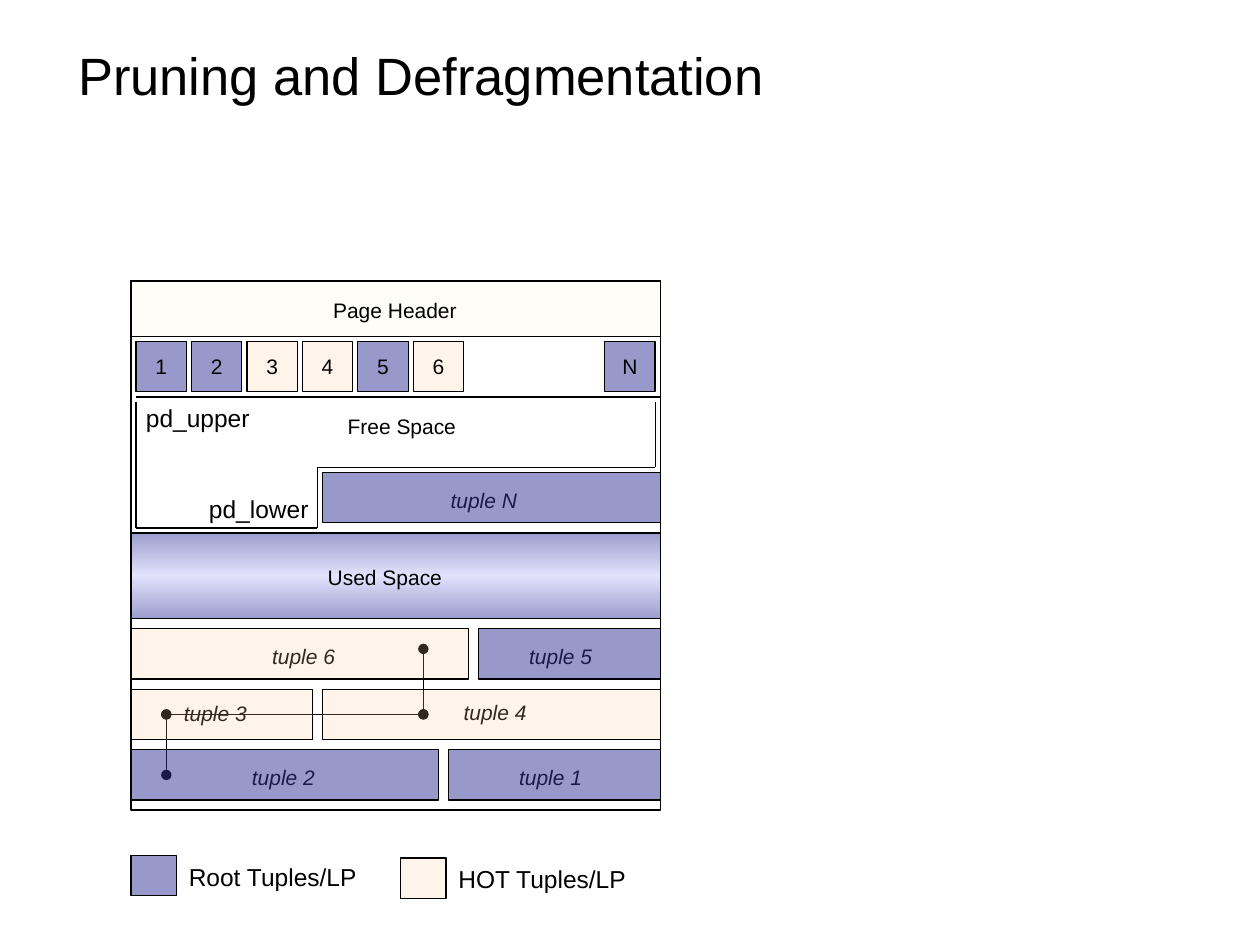
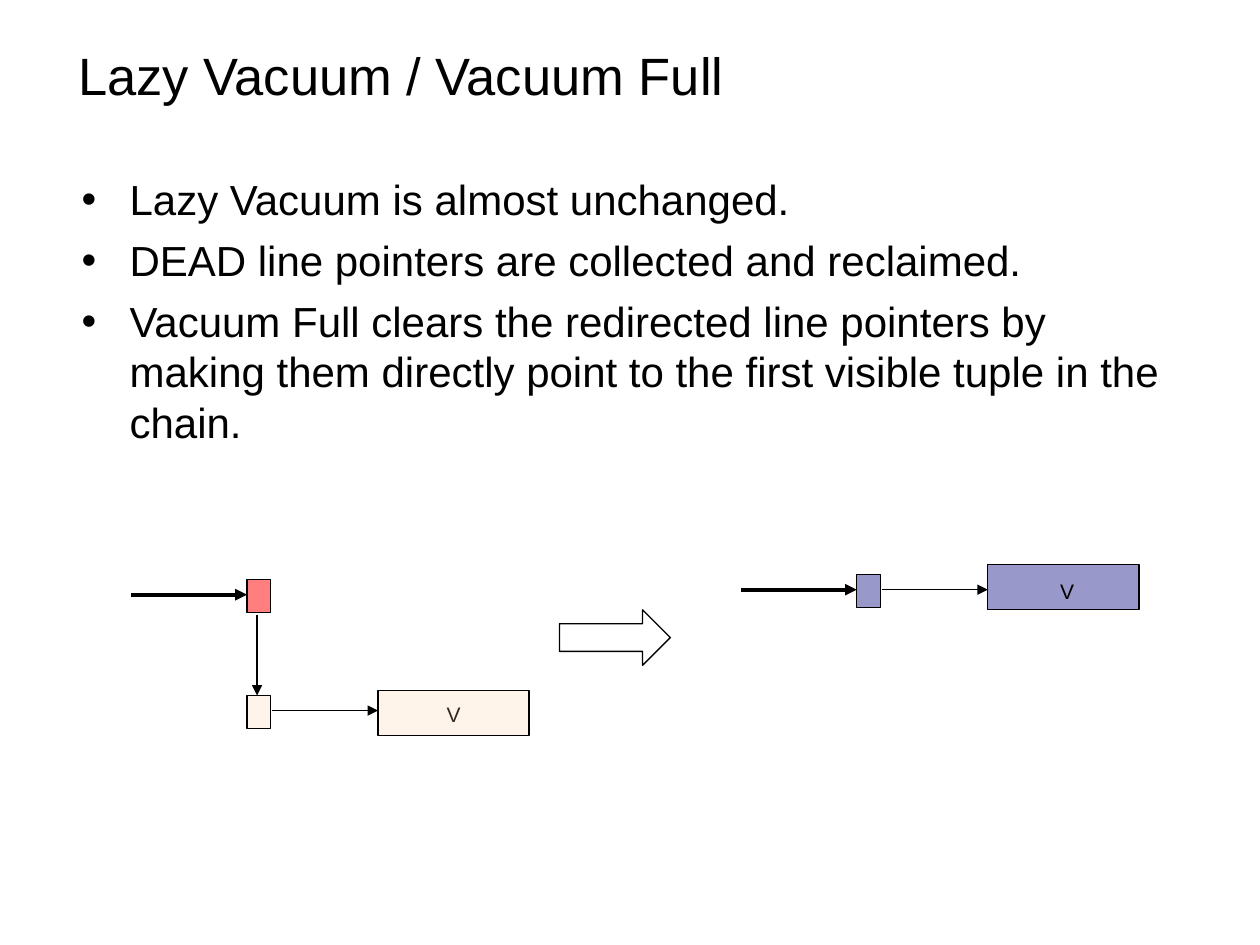
from dataclasses import dataclass
from itertools import pairwise
from typing import NamedTuple

from lxml import etree
from pptx import Presentation
from pptx.dml.color import RGBColor
from pptx.enum import shapes, text
from pptx.oxml import ns
from pptx.util import Inches, Pt


@dataclass(frozen=True)
class Theme:
    font: str = "Arial"
    ink: str = "000000"
    root: tuple = ("333399", 50)
    hot: tuple = ("FFCC99", 20)
    redirected: tuple = ("FF0000", 50)
    header: tuple = ("FFCC00", 3)
    used_stops: tuple = ((0, "333399", 48), (50, "CCCCFF", 51), (100, "333399", 48))
    title_size: float = 30
    body_size: float = 24
    name_size: float = 14
    label_size: float = 12
    thin: float = 0.75
    thick: float = 2.25


THEME = Theme()


class Box(NamedTuple):
    left: float
    top: float
    width: float
    height: float

    def inside(self, left, top, width, height):
        return Box(self.left + left, self.top + top, width, height)

    def point(self, x, y):
        return self.left + x, self.top + y

    def lengths(self):
        return [Inches(value) for value in self]


# Shared helpers
def add_xml(parent, tag, **attributes):
    return etree.SubElement(parent, ns.qn(tag), attributes)


def style_text(frame, size, align=text.PP_ALIGN.LEFT, italic=False):
    for para in frame.paragraphs:
        para.alignment = align
        for span in para.runs:
            span.font.name = THEME.font
            span.font.size = Pt(size)
            span.font.italic = italic
            span.font.color.rgb = RGBColor.from_string(THEME.ink)


def style_line(line, width=THEME.thin):
    line.color.rgb = RGBColor.from_string(THEME.ink)
    line.width = Pt(width)


def add_block(page, box, tint=None, words="", kind=shapes.MSO_SHAPE.RECTANGLE):
    block = page.shapes.add_shape(kind, *box.lengths())
    block.shadow.inherit = False
    style_line(block.line)
    if tint:
        colour, opacity = tint
        block.fill.solid()
        block.fill.fore_color.rgb = RGBColor.from_string(colour)
        colour_node = block.element.spPr.find(".//" + ns.qn("a:solidFill"))[0]
        add_xml(colour_node, "a:alpha", val=str(opacity * 1000))
    else:
        block.fill.background()
    if words:
        block.text_frame.text = words
        block.text_frame.vertical_anchor = text.MSO_ANCHOR.MIDDLE
        style_text(block.text_frame, THEME.label_size, text.PP_ALIGN.CENTER)
    return block


def add_label(page, box, words, size=THEME.label_size,
              align=text.PP_ALIGN.CENTER, italic=False):
    label = page.shapes.add_textbox(*box.lengths())
    label.text_frame.text = words
    label.text_frame.word_wrap = False
    style_text(label.text_frame, size, align, italic)


def add_line(page, start, end, width=THEME.thin, head=None, tail=None):
    line = page.shapes.add_connector(
        shapes.MSO_CONNECTOR.STRAIGHT, *map(Inches, (*start, *end)))
    style_line(line.line, width)
    properties = line.element.spPr
    stroke = properties.find(ns.qn("a:ln"))
    for tag, shape in (("a:headEnd", head), ("a:tailEnd", tail)):
        if shape:
            add_xml(stroke, tag, type=shape)
    add_xml(properties, "a:effectLst")


def add_path(page, box, points, **ends):
    for start, end in pairwise(points):
        add_line(page, box.point(*start), box.point(*end), **ends)


def add_page(deck, title):
    page = deck.slides.add_slide(deck.slide_layouts[5])
    holder = page.shapes.title
    holder.left, holder.top, holder.width, holder.height = Box(0.52, 0.05, 8.69, 0.84).lengths()
    frame = holder.text_frame
    frame.text = title
    frame.auto_size = text.MSO_AUTO_SIZE.NONE
    frame.vertical_anchor = text.MSO_ANCHOR.BOTTOM
    style_text(frame, THEME.title_size)
    return page


# Heap page diagram
def fill_used_space(block):
    properties = block.element.spPr
    old_fill = properties.find(ns.qn("a:noFill"))
    gradient = etree.Element(ns.qn("a:gradFill"), rotWithShape="1")
    stops = add_xml(gradient, "a:gsLst")
    for position, colour, opacity in THEME.used_stops:
        stop = add_xml(stops, "a:gs", pos=str(position * 1000))
        colour_node = add_xml(stop, "a:srgbClr", val=colour)
        add_xml(colour_node, "a:alpha", val=str(opacity * 1000))
    add_xml(gradient, "a:lin", ang=str(90 * 60000), scaled="0")
    properties.replace(old_fill, gradient)


def draw_tuples(page, box):
    # name, left, top, width, tint, label centre, label top
    tuples = [
        ("1", 2.52, 3.72, 1.68, THEME.root, 3.33, 3.79),
        ("2", 0, 3.72, 2.44, THEME.root, 1.21, 3.79),
        ("4", 1.52, 3.24, 2.68, THEME.hot, 2.89, 3.27),
        ("3", 0, 3.24, 1.44, THEME.hot, 0.67, 3.28),
        ("5", 2.76, 2.76, 1.44, THEME.root, 3.41, 2.83),
        ("6", 0, 2.76, 2.68, THEME.hot, 1.37, 2.83),
        ("N", 1.52, 1.52, 2.68, THEME.root, 2.8, 1.59),
    ]
    # Labels and the update chain lie under the translucent tuples
    label_width = 0.9
    for name, *_, centre, label_top in tuples:
        add_label(page, box.inside(centre - label_width / 2, label_top, label_width, 0.3),
                  f"tuple {name}", italic=True)
    chain = [(0.28, 3.92), (0.28, 3.44), (2.32, 3.44), (2.32, 2.92)]
    add_path(page, box, chain, head="oval", tail="oval")
    for _, left, top, width, tint, *_ in tuples:
        add_block(page, box.inside(left, top, width, 0.4), tint)


def draw_line_pointers(page, box):
    size, pitch = 0.4, 0.44
    slots = [(str(number + 1), number * pitch) for number in range(6)]
    for name, left in slots + [("N", box.width - size)]:
        tint = THEME.hot if name in "346" else THEME.root
        add_block(page, box.inside(left, 0, size, size), tint, name)


def draw_free_space(page, box):
    add_label(page, box.inside(1.53, 0.08, 1.16, 0.3), "Free Space")
    add_path(page, box, [(0, 0), (4.16, 0)])
    outline = [(0, 0.04), (0, 1.04), (1.44, 1.04), (1.44, 0.56), (4.12, 0.56), (4.12, 0.04)]
    add_path(page, box, outline)
    for name, left, top in (("pd_upper", -0.02, 0), ("pd_lower", 0.48, 0.72)):
        add_label(page, box.inside(left, top, 1.2, 0.34), name,
                  THEME.name_size, text.PP_ALIGN.LEFT)


def draw_heap_page(page, box):
    add_block(page, box)
    add_block(page, box.inside(0, 0, box.width, 0.44), THEME.header)
    add_label(page, box.inside(1.44, 0.08, 1.31, 0.3), "Page Header")
    fill_used_space(add_block(page, box.inside(0, 2, box.width, 0.68)))
    add_label(page, box.inside(1.41, 2.2, 1.21, 0.3), "Used Space")
    draw_tuples(page, box)
    draw_free_space(page, box.inside(0.04, 0.92, 4.16, 1.04))
    draw_line_pointers(page, box.inside(0.04, 0.48, 4.12, 0.4))


def draw_legend(page, box):
    entries = [("Root Tuples/LP", THEME.root, 0, 0), ("HOT Tuples/LP", THEME.hot, 2.14, 0.02)]
    for words, tint, left, top in entries:
        add_block(page, box.inside(left, top, 0.36, 0.32), tint)
        add_label(page, box.inside(left + 0.36, top, 1.7, 0.34), words,
                  THEME.name_size, text.PP_ALIGN.LEFT)


# Vacuum slide
def draw_bullets(page, box, lines):
    frame = page.shapes.add_textbox(*box.lengths()).text_frame
    frame.word_wrap = True
    frame.text = "\n".join(lines)
    indent = Inches(0.38)
    for index, para in enumerate(frame.paragraphs):
        para.space_before = Pt(6 if index else 0)
        properties = para._p.get_or_add_pPr()
        properties.set("marL", str(indent))
        properties.set("indent", str(-indent))
        add_xml(properties, "a:buFont", typeface=THEME.font)
        add_xml(properties, "a:buChar", char="•")
    style_text(frame, THEME.body_size)


def draw_pointer(page, box, tint):
    add_block(page, box.inside(0, 0, 0.19, 0.26), tint)


def draw_index_arrow(page, box):
    add_line(page, box.point(-0.92, 0.12), box.point(0, 0.12), THEME.thick, tail="triangle")


def draw_visible_tuple(page, box, tint, rise, label_at, label_on_top):
    """Line pointer, its arrow and the visible tuple it points to."""
    draw_pointer(page, box, tint)
    add_line(page, box.point(0.2, 0.12), box.point(1.04, 0.12), tail="triangle")
    target = box.inside(1.04, -rise, 1.2, 0.36)
    label = target.inside(*label_at, 0.4, 0.3)
    if label_on_top:
        add_block(page, target, tint)
    add_label(page, label, "V")
    if not label_on_top:
        add_block(page, target, tint)


def draw_vacuum_full(page, box):
    # Before: a redirected pointer leads to the pointer of the tuple
    redirected = box.inside(0.92, 0.12, 0.19, 0.26)
    draw_pointer(page, redirected, THEME.redirected)
    draw_index_arrow(page, redirected)
    add_line(page, redirected.point(0.08, 0.28), redirected.point(0.08, 0.92), tail="triangle")
    draw_visible_tuple(page, redirected.inside(0, 0.92, 0.19, 0.26), THEME.hot,
                       0.04, (0.4, 0.04), False)
    add_block(page, box.inside(3.4, 0.36, 0.88, 0.44), kind=shapes.MSO_SHAPE.RIGHT_ARROW)
    # After: the pointer leads straight to the tuple
    direct = box.inside(5.76, 0.08, 0.19, 0.26)
    draw_index_arrow(page, direct)
    draw_visible_tuple(page, direct, THEME.root, 0.08, (0.43, 0.06), True)


def main():
    deck = Presentation()
    deck.slide_width, deck.slide_height = Inches(10), Inches(7.5)

    pruning = add_page(deck, "Pruning and Defragmentation")
    draw_heap_page(pruning, Box(1.04, 2.23, 4.2, 4.2))
    draw_legend(pruning, Box(1.04, 6.79, 4.04, 0.34))

    vacuum = add_page(deck, "Lazy Vacuum / Vacuum Full")
    draw_bullets(vacuum, Box(0.55, 1.33, 8.79, 5.17), [
        "Lazy Vacuum is almost unchanged.",
        "DEAD line pointers are collected and reclaimed.",
        "Vacuum Full clears the redirected line pointers by making them directly "
        "point to the first visible tuple in the chain.",
    ])
    draw_vacuum_full(vacuum, Box(1.04, 4.48, 8, 1.36))

    deck.save("out.pptx")


if __name__ == "__main__":
    main()
